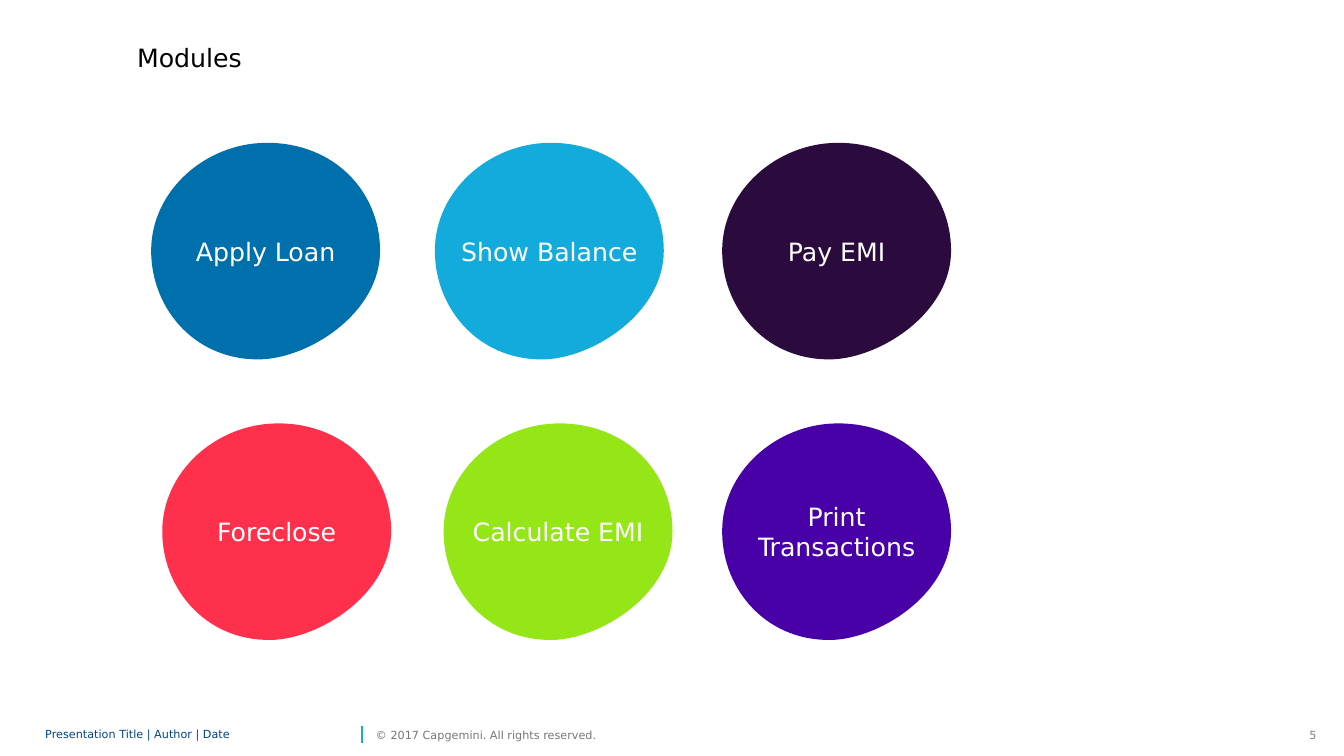
from pptx import Presentation
from pptx.dml.color import RGBColor
from pptx.enum import shapes, text
from pptx.oxml.ns import qn
from pptx import util as u
from lxml import etree

FONT = "DejaVu Sans"
COLORS = {
    "black": "000000", "white": "FFFFFF", "grey": "808080", "copyright": "767676",
    "footer": "00458D", "blue": "0070AD", "sky": "12ABDB", "plum": "2B0A3D",
    "red": "FF304C", "green": "95E616", "violet": "4701A7",
}
TITLE = "Modules"
# top of the row, then (label, colour, left) for each module, in cm
MODULE_ROWS = [
    (3.6, [("Apply Loan", "blue", 3.81), ("Show Balance", "sky", 10.96),
           ("Pay EMI", "plum", 18.2)]),
    (10.67, [("Foreclose", "red", 4.09), ("Calculate EMI", "green", 11.18),
             ("Print Transactions", "violet", 18.2)]),
]
# label, colour, (left, top, width, height) in cm, alignment, inset, line spacing
FOOTERS = [
    ("Presentation Title | Author | Date", "footer", (1.14, 18.21, 7.85, 0.61),
     text.PP_ALIGN.LEFT, 0, 0.85),
    ("© 2017 Capgemini. All rights reserved.", "copyright", (9.47, 18.21, 6.17, 0.61),
     text.PP_ALIGN.LEFT, 0, 1.0),
    ("5", "grey", (32.5, 18.21, 0.93, 0.61), text.PP_ALIGN.RIGHT, 0.25, 1.0),
]
# Bezier outline of a blob, in cm from its top left corner:
# two control points and the end point of each curve
BLOB_START = (0, 2.72)
BLOB_CURVES = [
    ((0, 1.22), (1.35, 0.02), (2.88, 0)),
    ((4.6, -0.02), (5.77, 1.22), (5.77, 2.72)),
    ((5.77, 4.22), (4.13, 5.34), (2.88, 5.45)),
    ((1.17, 5.56), (0, 4.22), BLOB_START),
]


def color(name):
    return RGBColor.from_string(COLORS[name])


def write(frame, label, size, color_name, align):
    para = frame.paragraphs[0]
    para.alignment = align
    span = para.add_run()
    span.text = label
    span.font.name = FONT
    span.font.size = u.Pt(size)
    span.font.color.rgb = color(color_name)
    return para


def bend(shape, curves):
    """Turn each straight segment of the outline into a Bezier curve."""
    segments = list(shape.element.iter(qn("a:lnTo")))
    for segment, curve in zip(segments, curves):
        bezier = etree.Element(qn("a:cubicBezTo"))
        for x, y in curve:
            etree.SubElement(bezier, qn("a:pt"), x=str(int(u.Cm(x))), y=str(int(u.Cm(y))))
        segment.getparent().replace(segment, bezier)


def add_module(page, label, color_name, left, top):
    corners = [(u.Cm(left + x), u.Cm(top + y))
               for x, y in (BLOB_START, *(curve[-1] for curve in BLOB_CURVES))]
    builder = page.shapes.build_freeform(*corners[0])
    builder.add_line_segments(corners[1:], close=True)
    blob = builder.convert_to_shape()
    bend(blob, BLOB_CURVES)
    blob.shadow.inherit = False
    blob.fill.solid()
    blob.fill.fore_color.rgb = color(color_name)
    blob.line.fill.background()
    blob.text_frame.word_wrap = True
    blob.text_frame.vertical_anchor = text.MSO_ANCHOR.MIDDLE
    write(blob.text_frame, label, 18, "white", text.PP_ALIGN.CENTER)


def add_footer(page, label, color_name, place, align, inset, spacing):
    box = page.shapes.add_textbox(*map(u.Cm, place))
    frame = box.text_frame
    frame.word_wrap = True
    frame.vertical_anchor = text.MSO_ANCHOR.MIDDLE
    frame.margin_left = frame.margin_right = u.Cm(inset)
    frame.margin_top = frame.margin_bottom = 0
    write(frame, label, 8, color_name, align).line_spacing = spacing


def add_divider(page):
    divider = page.shapes.add_connector(
        shapes.MSO_CONNECTOR.STRAIGHT, u.Cm(9.12), u.Cm(18.72), u.Cm(9.12), u.Cm(18.29))
    divider.line.color.rgb = color("sky")
    divider.line.width = u.Pt(1)
    etree.SubElement(divider.element.spPr, qn("a:effectLst"))


def add_title(page):
    title = page.shapes.title
    title.left, title.top, title.width, title.height = map(u.Cm, (3.2, 0.94, 15.93, 1.02))
    title.text_frame.word_wrap = True
    title.text_frame.auto_size = text.MSO_AUTO_SIZE.NONE
    title.text_frame.vertical_anchor = text.MSO_ANCHOR.TOP
    write(title.text_frame, TITLE, 18, "black", text.PP_ALIGN.LEFT)


def main():
    deck = Presentation()
    deck.slide_width, deck.slide_height = u.Cm(33.87), u.Cm(19.05)
    page = deck.slides.add_slide(deck.slide_layouts.get_by_name("Title Only"))
    add_title(page)
    for top, modules in MODULE_ROWS:
        for label, color_name, left in modules:
            add_module(page, label, color_name, left, top)
    for footer in FOOTERS:
        add_footer(page, *footer)
    add_divider(page)
    deck.save("out.pptx")


if __name__ == "__main__":
    main()
